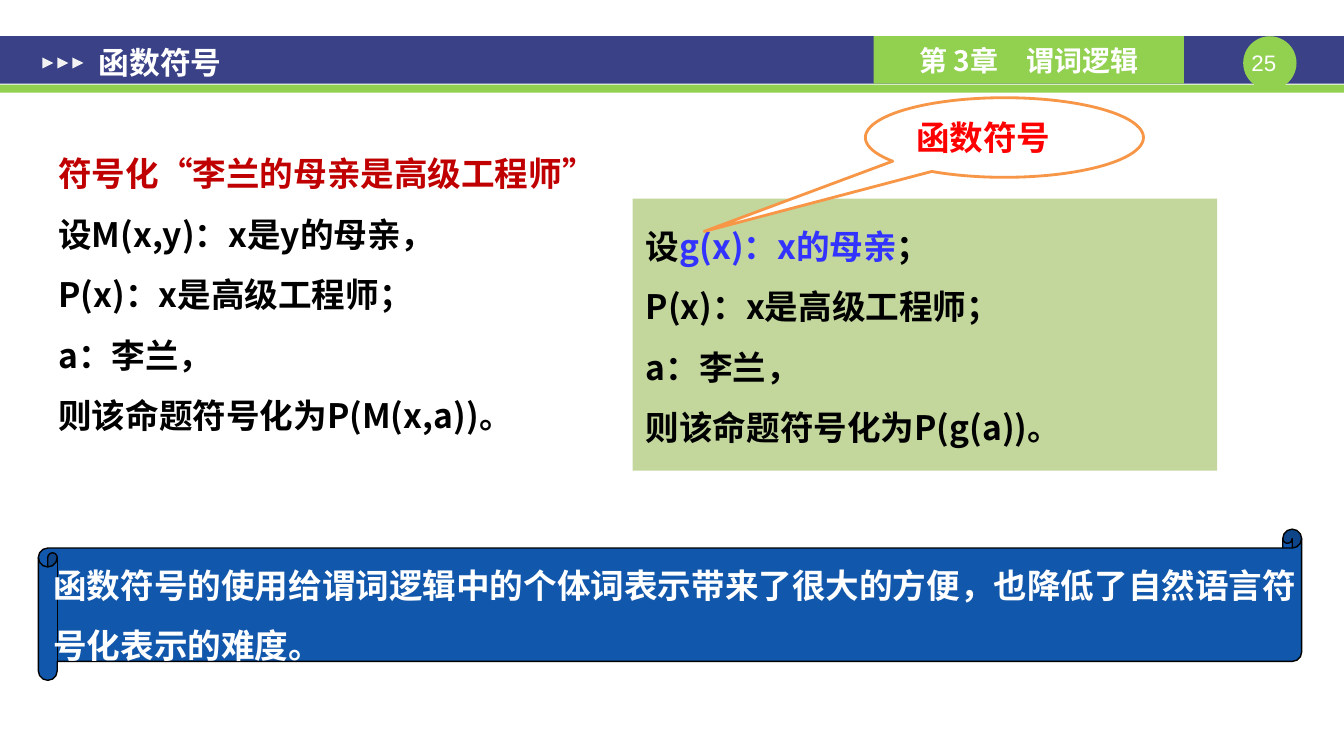
from lxml.etree import SubElement
from pptx import Presentation
from pptx.dml.color import RGBColor
from pptx.enum.shapes import MSO_SHAPE
from pptx.enum.text import MSO_ANCHOR, PP_ALIGN
from pptx.oxml.ns import qn
from pptx.util import Inches, Pt

WHITE = RGBColor(0xFF, 0xFF, 0xFF)
BLACK = RGBColor(0, 0, 0)
NAVY = RGBColor(0x3A, 0x41, 0x87)
LIME = RGBColor(0x92, 0xD0, 0x50)
PALE = RGBColor(0xF2, 0xF2, 0xF2)
SAGE = RGBColor(0xC3, 0xD6, 0x9B)
BLUE = RGBColor(0x11, 0x57, 0xAB)
VIOLET = RGBColor(0x33, 0x33, 0xFF)
ORANGE = RGBColor(0xF7, 0x96, 0x46)
RED = RGBColor(0xFF, 0, 0)
CRIMSON = RGBColor(0xC0, 0, 0)
CJK = "Noto Sans CJK SC"

prs = Presentation()
prs.slide_width, prs.slide_height = Inches(13.34), Inches(7.5)
slide = prs.slides.add_slide(prs.slide_layouts[6])
W, H = prs.slide_width / 100, prs.slide_height / 100


def add(kind, x, y, w, h, fill=None, line=None, width=1):
    s = slide.shapes.add_shape(kind, int(x * W), int(y * H), int(w * W), int(h * H))
    s.shadow.inherit = False
    if fill is None:
        s.fill.background()
    else:
        s.fill.solid()
        s.fill.fore_color.rgb = fill
    if line is None:
        s.line.fill.background()
    else:
        s.line.color.rgb = line
        s.line.width = Pt(width)
    return s


def write(s, lines, size, color, font=CJK, bold=True, spacing=1.0,
          align=PP_ALIGN.LEFT, anchor=MSO_ANCHOR.MIDDLE, inset=(0.1, 0.05)):
    tf = s.text_frame
    tf.word_wrap = True
    tf.vertical_anchor = anchor
    tf.margin_left = tf.margin_right = Inches(inset[0])
    tf.margin_top = tf.margin_bottom = Inches(inset[1])
    tf.text = "\n".join(lines)
    for p in tf.paragraphs:
        p.alignment = align
        p.line_spacing = spacing
        p.font.size = Pt(size)
        p.font.bold = bold
        p.font.color.rgb = color
        p.font.name = font
        SubElement(p.font._element, qn("a:ea"), typeface=CJK)
    return tf


add(MSO_SHAPE.RECTANGLE, 0, 4.8, 100, 6.27, NAVY)
add(MSO_SHAPE.RECTANGLE, 0, 11.2, 100, 1.07, LIME)
page = add(MSO_SHAPE.OVAL, 92.5, 4.8, 3.97, 7.07, LIME)
tf = write(page, ["25"], 16, WHITE, "Arial", False, align=PP_ALIGN.CENTER, inset=(0, 0))
tf.margin_right = Inches(0.12)
chapter = add(MSO_SHAPE.RECTANGLE, 65, 4.8, 23.09, 6.27, LIME)
write(chapter, ["第 3章　谓词逻辑"], 20, WHITE, align=PP_ALIGN.CENTER)
for i in range(3):
    arrow = add(MSO_SHAPE.ISOSCELES_TRIANGLE, 3.15 + 1.12 * i, 7.6, 0.82, 1.47, PALE)
    arrow.rotation = 90

title = add(MSO_SHAPE.RECTANGLE, 6.37, 5.33, 43.48, 5.87)
write(title, ["函数符号"], 22, WHITE, inset=(0.13, 0.07))

predicate = add(MSO_SHAPE.RECTANGLE, 3.37, 16.67, 43.48, 44.67)
tf = write(predicate, ["符号化“李兰的母亲是高级工程师”", "设M(x,y)：x是y的母亲，",
                       "P(x)：x是高级工程师；", "a：李兰，", "则该命题符号化为P(M(x,a))。"],
           24, BLACK, spacing=1.5, anchor=MSO_ANCHOR.TOP, inset=(0.13, 0.07))
tf.paragraphs[0].font.color.rgb = CRIMSON

scroll = add(MSO_SHAPE.HORIZONTAL_SCROLL, 2.85, 70, 94, 20, BLUE, BLACK)
tf = write(scroll, ["函数符号的使用给谓词逻辑中的个体词表示带来了很大的方便，也降低了自然语言符",
                    "号化表示的难度。"], 24, WHITE, spacing=1.5)
tf.word_wrap = False
tf.paragraphs[0].alignment = PP_ALIGN.CENTER

function = add(MSO_SHAPE.RECTANGLE, 47.08, 26.27, 43.48, 36, SAGE)
tf = write(function, ["设", "P(x)：x是高级工程师；", "a：李兰，", "则该命题符号化为P(g(a))。"],
           24, BLACK, spacing=1.5, anchor=MSO_ANCHOR.TOP, inset=(0.13, 0.07))
for text, color in (("g(x)：x的母亲", VIOLET), ("；", BLACK)):
    r = tf.paragraphs[0].add_run()
    r.text = text
    r.font.color.rgb = color

callout = add(MSO_SHAPE.OVAL_CALLOUT, 64.39, 12.93, 20.69, 10.53, WHITE, ORANGE, 2)
callout.adjustments[0], callout.adjustments[1] = -1.08, 1.18
write(callout, ["函数符号"], 24, RED, "Arial")

prs.save("out.pptx")
